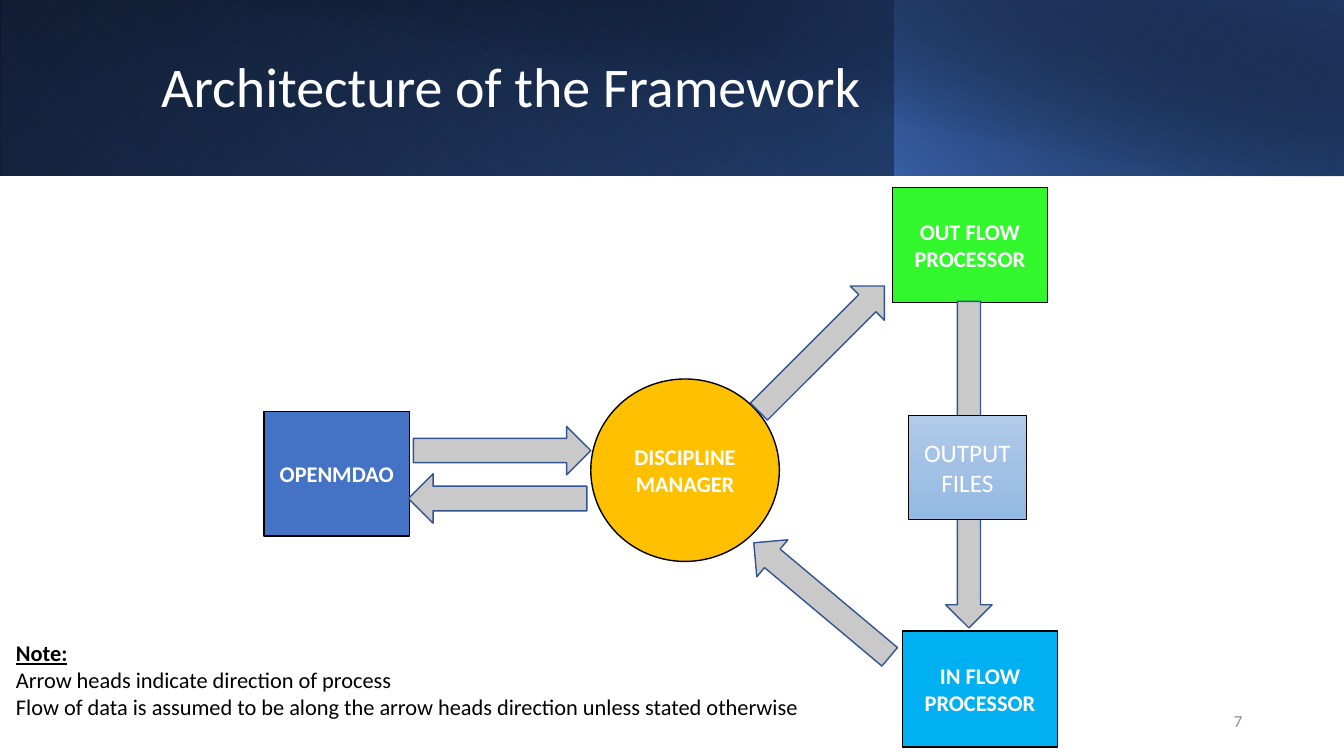
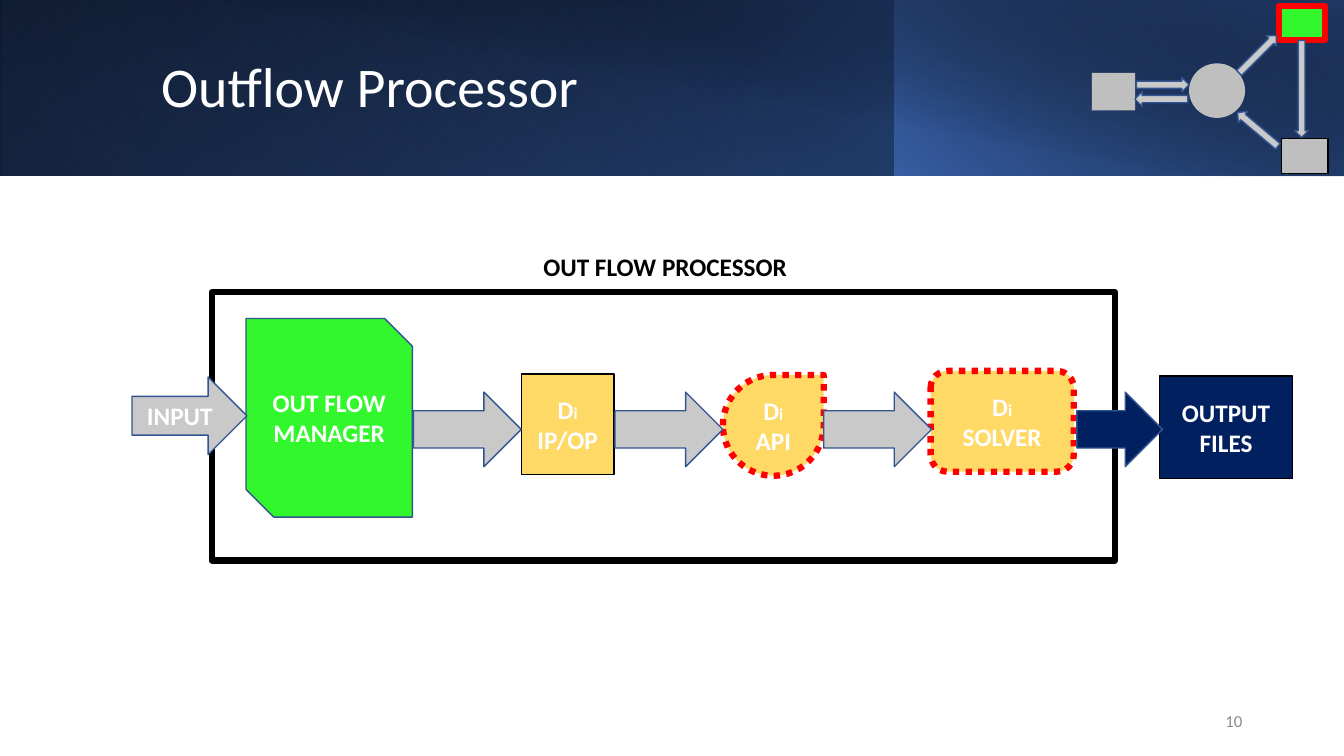
from dataclasses import dataclass

from lxml.etree import SubElement
from pptx import Presentation
from pptx.dml.color import RGBColor
from pptx.enum.dml import MSO_LINE
from pptx.enum.shapes import MSO_SHAPE
from pptx.enum.text import MSO_ANCHOR, PP_ALIGN
from pptx.oxml.ns import qn
from pptx.util import Inches, Pt

RECT, ELLIPSE, ARROW = MSO_SHAPE.RECTANGLE, MSO_SHAPE.OVAL, MSO_SHAPE.RIGHT_ARROW
SNIPPED, ROUNDED = MSO_SHAPE.SNIP_2_DIAG_RECTANGLE, MSO_SHAPE.ROUNDED_RECTANGLE
TEARDROP, DOTTED = MSO_SHAPE.TEAR, MSO_LINE.ROUND_DOT
LEFT, CENTER, RIGHT = PP_ALIGN.LEFT, PP_ALIGN.CENTER, PP_ALIGN.RIGHT
TOP, MIDDLE = MSO_ANCHOR.TOP, MSO_ANCHOR.MIDDLE

FONT = "Calibri"
SLIDE_WIDTH, SLIDE_HEIGHT = 13.33, 7.5
COLORS = {
    "white": "FFFFFF", "black": "000000", "gray": "BFBFBF", "number": "8C8C8C",
    "arrow": "C9C9C9", "arrow_line": "325491", "blue": "4472C4", "sky": "00B0F0",
    "green": "33F72D", "amber": "FFC000", "sand": "FFD966", "red": "FF0000",
    "navy": "002060", "band": "2F5597", "deep": "203864",
    "pale_top": "B1CBE9", "pale_middle": "A3C1E5", "pale_bottom": "93B9E4",
}

BAND_LAYERS = [
    ((0, 0, 13.33, 1.74), 0, True, 140, [(0, "black", 100), (100, "band", 100)]),
    ((0, 0, 8.88, 1.74), 180, True, 230, [(20, "blue", 0), (100, "deep", 55)]),
    ((8.87, 0, 4.46, 1.74), 0, True, 220, [(0, "blue", 66), (100, "black", 30)]),
    ((0.5, 0, 12.83, 1.75), 0, False, 280, [(50, "black", 0), (99, "deep", 52)]),
]
PALE_STOPS = [(0, "pale_top", 100), (50, "pale_middle", 100), (100, "pale_bottom", 100)]

NETWORK_GRID = (7.87, 5.55)
NETWORK_NODES = {
    "framework": (RECT, (0, 2.22, 1.44, 1.24)),
    "inflow": (RECT, (6.33, 4.4, 1.54, 1.15)),
    "outflow": (RECT, (6.23, 0, 1.54, 1.14)),
    "manager": (ELLIPSE, (3.24, 1.9, 1.87, 1.81)),
}
NETWORK_ARROWS = [
    ((1.48, 2.37, 1.76, 0.48), 0),
    ((4.65, 1.36, 1.76, 0.48), 315),
    ((4.65, 3.85, 1.76, 0.48), 220),
    ((5.37, 2.52, 3.24, 0.46), 90),
    ((1.43, 2.84, 1.77, 0.49), 180),
]


@dataclass
class Grid:
    """A box on a page, divided into columns and rows."""
    page: object
    box: tuple
    columns: float
    rows: float

    def place(self, cell):
        """Return the lengths of a cell given as column, row, width and height."""
        left, top, width, height = self.box
        across, down = width / self.columns, height / self.rows
        column, row, wide, high = cell
        return [Inches(length) for length in
                (left + column * across, top + row * down, wide * across, high * down)]


def page_grid(page):
    """Return the grid that covers the whole slide."""
    return Grid(page, (0, 0, SLIDE_WIDTH, SLIDE_HEIGHT), SLIDE_WIDTH, SLIDE_HEIGHT)


def rgb(name):
    """Look up a colour."""
    return RGBColor.from_string(COLORS[name])


def write(frame, paragraphs, size, color="white", align=CENTER, anchor=MIDDLE,
          bold=False, spacing=None):
    """Fill a text frame; a span is its text with optional font settings."""
    frame.word_wrap = True
    frame.vertical_anchor = anchor
    for index, spans in enumerate(paragraphs):
        para = frame.paragraphs[0] if index == 0 else frame.add_paragraph()
        para.alignment = align
        if spacing:
            para.line_spacing = spacing
        for text, settings in spans:
            span = para.add_run()
            span.text = text
            span.font.name = FONT
            span.font.size = Pt(settings.get("size", size))
            span.font.bold = settings.get("bold", bold)
            span.font.underline = settings.get("underline", False)
            span.font.color.rgb = rgb(color)


def plain(*lines):
    """Turn lines into paragraphs of one span each."""
    return [[(line, {})] for line in lines]


def add_text(grid, cell, paragraphs, size, **style):
    """Add a text box on a grid."""
    box = grid.page.shapes.add_textbox(*grid.place(cell))
    write(box.text_frame, paragraphs, size, **style)


def add_box(grid, kind, cell, fill=None, line=None, weight=1, dash=None, turn=0):
    """Add a preset shape on a grid."""
    shape = grid.page.shapes.add_shape(kind, *grid.place(cell))
    shape.shadow.inherit = False
    shape.rotation = turn
    if fill:
        shape.fill.solid()
        shape.fill.fore_color.rgb = rgb(fill)
    else:
        shape.fill.background()
    if line:
        shape.line.color.rgb = rgb(line)
        shape.line.width = Pt(weight)
        if dash:
            shape.line.dash_style = dash
    else:
        shape.line.fill.background()
    return shape


def add_arrow(grid, cell, turn=0, fill="arrow"):
    """Add a block arrow on a grid."""
    return add_box(grid, ARROW, cell, fill, "arrow_line", turn=turn)


def paint_gradient(shape, angle, stops):
    """Give a shape a linear gradient of position, colour and opacity stops."""
    shape.fill.gradient()
    gradient = shape._element.spPr.find(qn("a:gradFill"))
    gradient.find(qn("a:lin")).set("ang", str(angle * 60000))
    stop_list = gradient.find(qn("a:gsLst"))
    for old_stop in list(stop_list):
        stop_list.remove(old_stop)
    for position, color, opacity in stops:
        stop = SubElement(stop_list, qn("a:gs"), pos=str(position * 1000))
        tone = SubElement(stop, qn("a:srgbClr"), val=COLORS[color])
        if opacity < 100:
            SubElement(tone, qn("a:alpha"), val=str(opacity * 1000))


def add_page(deck, title, number):
    """Add a slide with its band, title and number, and return its grid."""
    grid = page_grid(deck.slides.add_slide(deck.slide_layouts[6]))
    for cell, turn, flipped, angle, stops in BAND_LAYERS:
        layer = add_box(grid, RECT, cell, turn=turn)
        paint_gradient(layer, angle, stops)
        if flipped:
            layer._element.spPr.xfrm.set("flipH", "1")
    add_text(grid, (1.5, 0.32, 10.82, 1.13), plain(title), 40, align=LEFT, spacing=0.9)
    add_text(grid, (9.42, 6.95, 3, 0.4), plain(number), 12, color="number", align=RIGHT)
    return grid


def draw_network(page, box, looks, labels):
    """Draw the framework's nodes and arrows in a box."""
    grid = Grid(page, box, *NETWORK_GRID)
    for name, (kind, cell) in NETWORK_NODES.items():
        node = add_box(grid, kind, cell, *looks[name])
        if name in labels:
            write(node.text_frame, plain(labels[name]), 16, bold=True)
    for cell, turn in NETWORK_ARROWS:
        add_arrow(grid, cell, turn)
    return grid


def draw_process(page, box):
    """Draw the steps of the outflow processor in a box."""
    grid = Grid(page, box, 11.51, 3.12)
    symbol = [("D", {}), ("i", {"size": 12})]
    steps = [
        (SNIPPED, (1.13, 0.72, 1.65, 1.97), ("green", "arrow_line"),
         plain("OUT FLOW MANAGER")),
        (RECT, (3.86, 1.27, 0.92, 1), ("sand", "black"), [symbol, *plain("IP/OP")]),
        (TEARDROP, (5.86, 1.28, 1, 1), ("sand", "red", 4.5, DOTTED),
         [symbol, *plain("API")]),
        (ROUNDED, (7.92, 1.24, 1.42, 1), ("sand", "red", 4.5, DOTTED),
         [symbol, *plain("SOLVER")]),
        (RECT, (10.19, 1.29, 1.32, 1.02), ("navy", "black"), plain("OUTPUT FILES")),
    ]
    for kind, cell, look, paragraphs in steps:
        step = add_box(grid, kind, cell, *look)
        write(step.text_frame, paragraphs, 18, bold=True)
    add_text(grid, (3.98, 0, 2.68, 0.4), plain("OUT FLOW PROCESSOR"), 18,
             color="black", align=LEFT, anchor=TOP, bold=True)
    add_box(grid, RECT, (0.79, 0.46, 8.96, 2.66), None, "black", 4.5)
    entry = add_arrow(grid, (0, 1.3, 1.14, 0.77))
    write(entry.text_frame, plain("INPUT"), 18, bold=True)
    for column, width, fill in [(2.79, 1.07, "arrow"), (4.79, 1.07, "arrow"),
                                (6.86, 1.07, "arrow"), (9.37, 0.85, "navy")]:
        add_arrow(grid, (column, 1.45, width, 0.74), fill=fill)


def architecture_slide(deck):
    """Build the slide with the whole framework."""
    grid = add_page(deck, "Architecture of the Framework", "7")
    looks = {"framework": ("blue", "black"), "inflow": ("sky", "black"),
             "outflow": ("green", "black"), "manager": ("amber", "black")}
    labels = {"framework": "OPENMDAO", "inflow": "IN FLOW PROCESSOR",
              "outflow": "OUT FLOW PROCESSOR", "manager": "DISCIPLINE MANAGER"}
    network = draw_network(grid.page, (2.62, 1.86, *NETWORK_GRID), looks, labels)
    note = [[("Note:", {"bold": True, "underline": True})],
            *plain("Arrow heads indicate direction of process",
                   "Flow of data is assumed to be along the arrow heads direction "
                   "unless stated otherwise")]
    add_text(grid, (0.06, 6.29, 8.88, 0.91), note, 16,
             color="black", align=LEFT, anchor=TOP)
    files = add_box(network, RECT, (6.39, 2.26, 1.17, 1.03), None, "black", 0.5)
    paint_gradient(files, 90, PALE_STOPS)
    write(files.text_frame, plain("OUTPUT FILES"), 18)


def outflow_slide(deck):
    """Build the slide with the outflow processor and its place in the framework."""
    grid = add_page(deck, "Outflow Processor", "10")
    draw_process(grid.page, (1.31, 2.44, 11.51, 3.12))
    looks = {"framework": ("gray",), "inflow": ("gray", "black"),
             "outflow": ("green", "red", 4.5), "manager": ("gray",)}
    draw_network(grid.page, (10.83, 0.06, 2.34, 1.66), looks, {})


def main():
    """Build and save the deck."""
    deck = Presentation()
    deck.slide_width, deck.slide_height = Inches(SLIDE_WIDTH), Inches(SLIDE_HEIGHT)
    architecture_slide(deck)
    outflow_slide(deck)
    deck.save("out.pptx")


if __name__ == "__main__":
    main()
